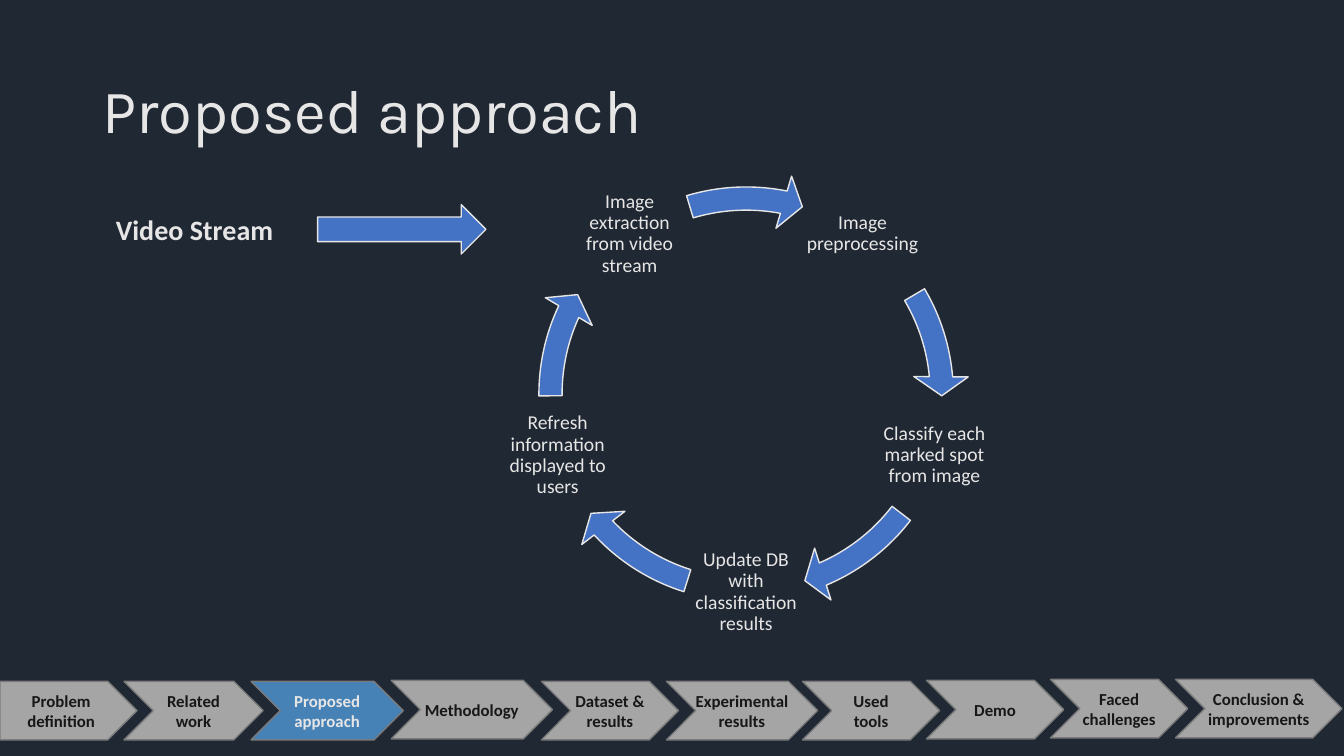
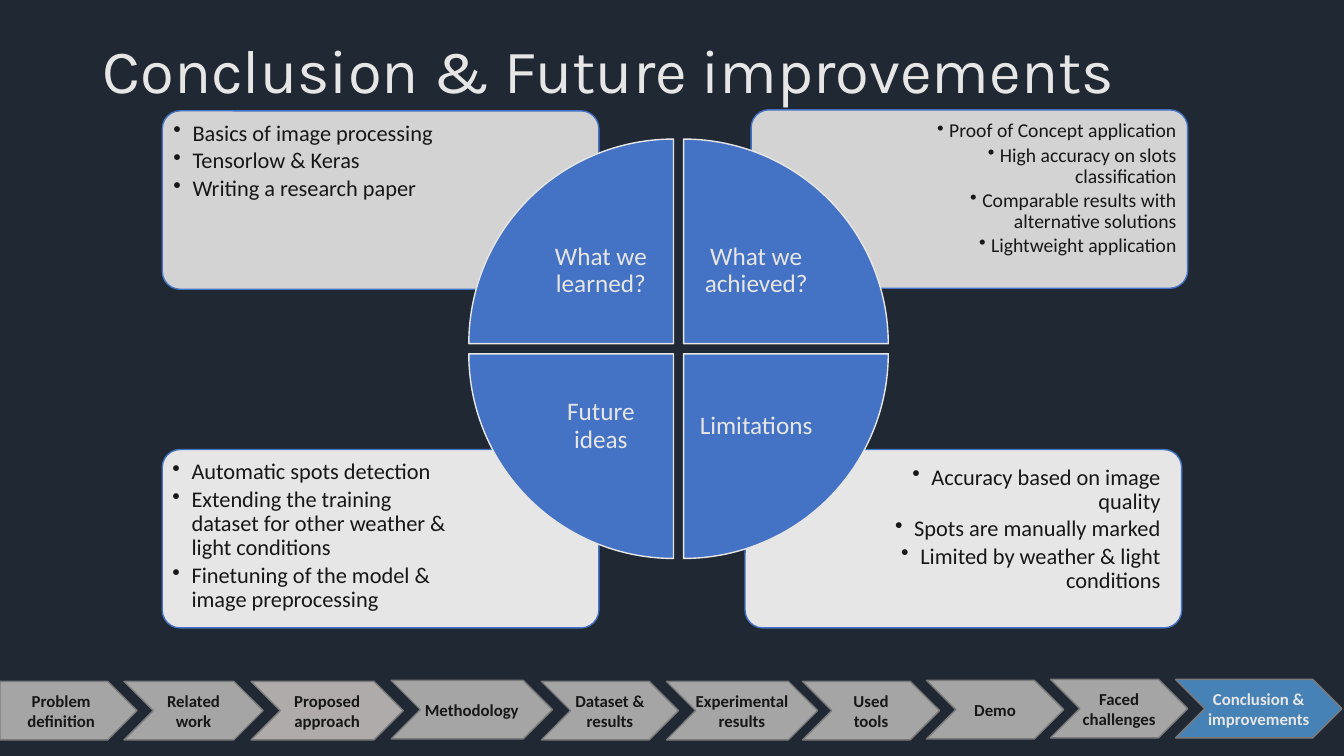
from math import cos, radians, sin

from lxml.etree import SubElement
from pptx import Presentation
from pptx.dml.color import RGBColor
from pptx.enum.shapes import MSO_SHAPE
from pptx.enum.text import MSO_ANCHOR, PP_ALIGN
from pptx.oxml.ns import qn
from pptx.util import Inches, Pt

COLORS = {
    "background": "202833", "light": "E7E6E6", "dark": "181717",
    "step": "A5A5A5", "visited": "AFABAB", "current": "4682B6",
    "step_line": "7A7A7A", "accent": "4472C4",
}
BODY_FONT, TITLE_FONT = "Calibri", "Karla"

# Progress band: label, left, top, width, side inset
STEPS = [
    ("Problem definition", 0, 6.76, 1.36, 0.1),
    ("Related work", 1.23, 6.76, 1.38, 0.1),
    ("Proposed approach", 2.49, 6.76, 1.51, 0.1),
    ("Methodology", 3.88, 6.75, 1.6, 0),
    ("Dataset & results", 5.37, 6.76, 1.36, 0),
    ("Experimental results", 6.61, 6.76, 1.5, 0),
    ("Used tools", 7.96, 6.76, 1.36, 0.1),
    ("Demo", 9.19, 6.75, 1.36, 0.1),
    ("Faced challenges", 10.42, 6.74, 1.36, 0),
    ("Conclusion & improvements", 11.66, 6.74, 1.65, 0),
]
STEP_HEIGHT = 0.58

# Cycle: stage, then the end and start angles of the arrow that leaves it
STAGES = [
    ("Image preprocessing", 354.89, 329.43),
    ("Classify each marked spot from image", 66.92, 37.55),
    ("Update DB with classification results", 136.85, 107.48),
    ("Refresh information displayed to users", 204.97, 179.51),
    ("Image extraction from video stream", 281.1, 253.3),
]
STAGE_ARROWS = [STAGES[(i + 0) % 5][1:] for i in range(5)]
CYCLE_CENTER, CYCLE_RADIUS = (7.4, 3.91), 1.965
STAGE_SIZE, RING_SIZE = 1.18, 4.42

# Quadrants clockwise from top left
QUADRANTS = [
    dict(name="What we learned?", column=0, row=0, card=(1.61, 1.1),
         notes=(1.65, 1.14), size=16, hang=0.19, opaque=False,
         points=["Basics of image processing", "Tensorlow & Keras",
                 "Writing a research paper"]),
    dict(name="What we achieved?", column=1, row=0, card=(7.45, 1.09),
         notes=(8.78, 1.13), size=14, hang=0.12, opaque=False,
         points=["Proof of Concept application",
                 "High accuracy on slots classification",
                 "Comparable results with alternative solutions",
                 "Lightweight application"]),
    dict(name="Limitations", column=1, row=1, card=(7.39, 4.46),
         notes=(8.62, 4.55), size=16, hang=0.19, opaque=True,
         points=["Accuracy based on image quality",
                 "Spots are manually marked",
                 "Limited by weather & light conditions"]),
    dict(name="Future ideas", column=0, row=1, card=(1.61, 4.46),
         notes=(1.64, 4.5), size=16, hang=0.19, opaque=True,
         points=["Automatic spots detection",
                 "Extending the training dataset for other weather & light conditions",
                 "Finetuning of the model & image preprocessing"]),
]
WHEEL_LEFT, WHEEL_TOP, WEDGE, WHEEL_GAP = 4.65, 1.38, 2.03, 0.1
WEDGE_LABEL = 1.44


def rgb(name):
    return RGBColor.from_string(COLORS[name])


def write_text(shape, *lines, size, color="light", font=BODY_FONT, bold=False,
               align=PP_ALIGN.LEFT, anchor=MSO_ANCHOR.MIDDLE, inset=(0.1, 0.05),
               spacing=None, after=0, hang=None, wrap=True):
    frame = shape.text_frame
    frame.word_wrap = wrap
    frame.vertical_anchor = anchor
    frame.margin_left = frame.margin_right = Inches(inset[0])
    frame.margin_top = frame.margin_bottom = Inches(inset[1])
    for i, line in enumerate(lines):
        paragraph = frame.add_paragraph() if i else frame.paragraphs[0]
        paragraph.alignment = align
        paragraph.line_spacing = spacing
        paragraph.space_after = Pt(after)
        run = paragraph.add_run()
        run.text = line
        run.font.size, run.font.name, run.font.bold = Pt(size), font, bold
        run.font.color.rgb = rgb(color)
        if hang:
            properties = paragraph._p.get_or_add_pPr()
            properties.set("marL", str(Inches(hang)))
            properties.set("indent", str(-Inches(hang)))
            SubElement(properties, qn("a:buChar")).set("char", "•")


def add_box(slide, left, top, width, height):
    return slide.shapes.add_textbox(Inches(left), Inches(top), Inches(width), Inches(height))


def add_figure(slide, kind, left, top, width, height, fill="accent", line="light",
               adjustments=()):
    shape = slide.shapes.add_shape(kind, Inches(left), Inches(top), Inches(width), Inches(height))
    shape.shadow.inherit = False
    shape.fill.solid()
    shape.fill.fore_color.rgb = rgb(fill)
    shape.line.color.rgb = rgb(line)
    shape.line.width = Pt(1)
    for i, value in enumerate(adjustments):
        shape.adjustments[i] = value
    return shape


def add_base(deck, title, title_top, current, visited=None):
    """Start a slide with its background, title and progress band."""
    slide = deck.slides.add_slide(deck.slide_layouts[6])
    slide.background.fill.solid()
    slide.background.fill.fore_color.rgb = rgb("background")
    write_text(add_box(slide, 0.92, title_top, 11.5, 1.45), title,
               size=44, font=TITLE_FONT, spacing=0.9)
    for i, (label, left, top, width, inset) in enumerate(STEPS):
        kind = MSO_SHAPE.CHEVRON if i else MSO_SHAPE.PENTAGON
        fill = {current: "current", visited: "visited"}.get(label, "step")
        step = add_figure(slide, kind, left, top, width, STEP_HEIGHT, fill, "step_line")
        write_text(step, label, size=12, bold=True, align=PP_ALIGN.CENTER,
                   color="light" if label == current else "dark", inset=(inset, 0.05))
    return slide


def build_approach(deck):
    slide = add_base(deck, "Proposed approach", 0.4, "Proposed approach")
    center_x, center_y = CYCLE_CENTER

    # Cycle of stages and the arrows between them
    for i, (stage, end, start) in enumerate(STAGES):
        angle = radians(-54 + i * 360 / len(STAGES))
        x = center_x + CYCLE_RADIUS * cos(angle) - STAGE_SIZE / 2
        y = center_y + CYCLE_RADIUS * sin(angle) - STAGE_SIZE / 2
        write_text(add_box(slide, x, y, STAGE_SIZE, STAGE_SIZE), stage, size=14,
                   align=PP_ALIGN.CENTER, inset=(0.02, 0.02), spacing=0.9)
        # Angles are stored in 60000ths of a degree, adjustments in 100000ths
        add_figure(slide, MSO_SHAPE.CIRCULAR_ARROW,
                   center_x - RING_SIZE / 2, center_y - RING_SIZE / 2, RING_SIZE, RING_SIZE,
                   adjustments=(0.052, 5.6 * 0.6, end * 0.6, start * 0.6, 0.061))

    # Input of the cycle
    add_figure(slide, MSO_SHAPE.RIGHT_ARROW, 3.15, 2.03, 1.67, 0.49)
    write_text(add_box(slide, 1.05, 2.06, 1.8, 0.44), "Video Stream", size=20, bold=True,
               anchor=MSO_ANCHOR.TOP, wrap=False)


def build_conclusion(deck):
    slide = add_base(deck, "Conclusion & Future improvements", 0,
                     "Conclusion & improvements", "Proposed approach")

    # Cards behind the wheel
    for quadrant in QUADRANTS:
        card = add_figure(slide, MSO_SHAPE.ROUNDED_RECTANGLE, *quadrant["card"], 4.33, 1.77,
                          "light", "accent", (0.1,))
        if not quadrant["opaque"]:
            fill_color = card.fill._xPr.find(qn("a:solidFill"))[0]
            SubElement(fill_color, qn("a:alpha")).set("val", "90000")
        write_text(add_box(slide, *quadrant["notes"], 2.96, 1.25), *quadrant["points"],
                   size=quadrant["size"], color="dark", anchor=MSO_ANCHOR.TOP,
                   align=PP_ALIGN.RIGHT if quadrant["column"] else PP_ALIGN.LEFT,
                   inset=(0.07, 0.07), spacing=0.9, after=quadrant["size"] * 0.15,
                   hang=quadrant["hang"])

    # Wheel: each label sits in the inner corner of its wedge
    for i, quadrant in enumerate(QUADRANTS):
        column, row = quadrant["column"], quadrant["row"]
        left = WHEEL_LEFT + column * (WEDGE + WHEEL_GAP)
        top = WHEEL_TOP + row * (WEDGE + WHEEL_GAP)
        wedge = add_figure(slide, MSO_SHAPE.PIE_WEDGE, left, top, WEDGE, WEDGE)
        wedge.rotation = i * 90
        shift = WEDGE - WEDGE_LABEL
        label = add_box(slide, left + (1 - column) * shift, top + (1 - row) * shift,
                        WEDGE_LABEL, WEDGE_LABEL)
        write_text(label, quadrant["name"], size=18, align=PP_ALIGN.CENTER,
                   inset=(0.14, 0.14), spacing=0.9)


def main():
    deck = Presentation()
    deck.slide_width, deck.slide_height = Inches(13.33), Inches(7.5)
    build_approach(deck)
    build_conclusion(deck)
    deck.save("out.pptx")


if __name__ == "__main__":
    main()
